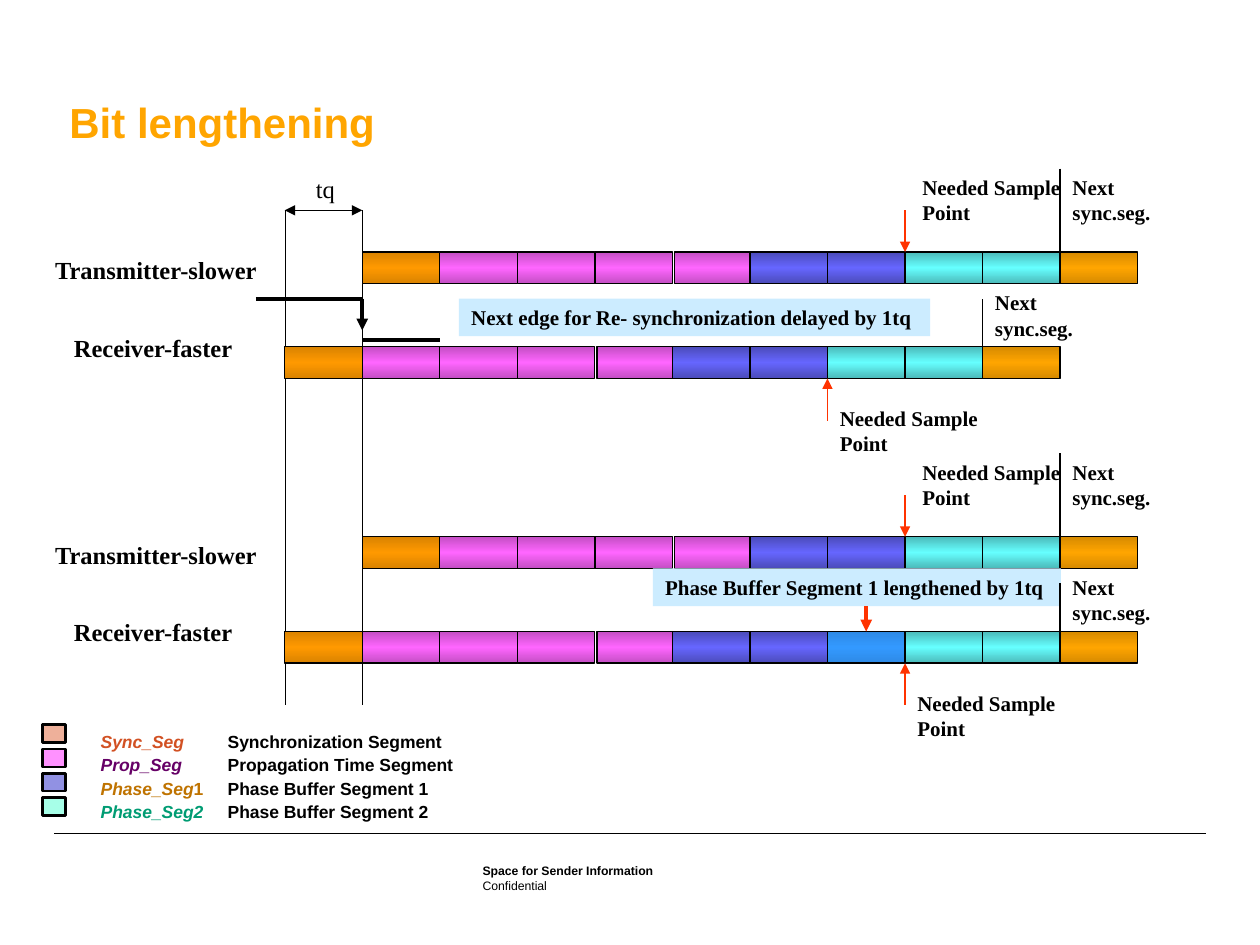
from copy import deepcopy
from dataclasses import dataclass
from typing import NamedTuple

from lxml.etree import SubElement
from pptx import Presentation
from pptx.dml.color import RGBColor
from pptx.enum.shapes import MSO_CONNECTOR as Connector, MSO_SHAPE as Shape
from pptx.enum.text import MSO_ANCHOR as Anchor, MSO_AUTO_SIZE as AutoSize, PP_ALIGN as Align
from pptx.oxml.ns import qn
from pptx.util import Cm, Pt


@dataclass(frozen=True)
class Theme:
    sans: str = "Arial"
    serif: str = "Times New Roman"
    ink: str = "000000"
    title: str = "FFA500"
    signal: str = "FF3300"
    callout: str = "CCECFF"
    title_size: float = 24
    label_size: float = 14
    note_size: float = 12
    legend_size: float = 10
    footer_size: float = 7
    guide: float = 0.25
    rule: float = 0.35
    thin: float = 0.75
    swatch: float = 1.5
    thick: float = 2.25


class Segment(NamedTuple):
    edge: str
    middle: str


class Run(NamedTuple):
    text: str
    size: float
    font: str = Theme.serif
    bold: bool = True
    italic: bool = False
    color: str = Theme.ink


class LegendEntry(NamedTuple):
    swatch: str
    name_color: str
    name: str
    suffix: str
    meaning: str


@dataclass(frozen=True)
class Diagram:
    """Two bit-time bars; lengths in cm, callout_offset counted from the top bar."""
    top: float
    receiver: list[Segment]
    guide_span: tuple[float, float]
    callout: str
    callout_left: float
    callout_offset: float
    callout_width: float


THEME = Theme()
SYNC = Segment("DA8300", "FF9900")
PROP = Segment("C44EC4", "FF66FF")
PHASE1 = Segment("4B4BBA", "6666FF")
ADDED = Segment("2E8AE6", "3399FF")
PHASE2 = Segment("4BBABA", "66FFFF")
NEXT_SYNC = Segment("D68A00", "FFA500")
BIT_START = [SYNC] + [PROP] * 4 + [PHASE1] * 2
BIT_END = [PHASE2] * 2 + [NEXT_SYNC]
NORMAL_BIT = BIT_START + BIT_END
LONG_BIT = BIT_START + [ADDED] + BIT_END

GRID_LEFT, GRID_RIGHT = 5.74, 21.37
QUANTUM = (GRID_RIGHT - GRID_LEFT) / len(NORMAL_BIT)
BAR_HEIGHT, RECEIVER_OFFSET = 0.64, 1.91
LAST_PROP, LAST_PROP_GAP = 4, 0.04

DIAGRAMS = [
    Diagram(5.08, NORMAL_BIT, (4.24, 9.53),
            "Next edge for Re- synchronization delayed by 1tq", 9.25, 0.94, 9.5),
    Diagram(10.82, LONG_BIT, (9.53, 14.22),
            "Phase Buffer Segment 1 lengthened by 1tq", 13.16, 0.64, 8.23),
]
LEGEND = [
    LegendEntry("EEB09A", "D25123", "Sync_Seg", "", "Synchronization Segment"),
    LegendEntry("FF91FF", "660066", "Prop_Seg", "", "Propagation Time Segment"),
    LegendEntry("9191E3", "BF7300", "Phase_Seg", "1", "Phase Buffer Segment 1"),
    LegendEntry("A7FFE8", "009C73", "Phase_Seg2", "", "Phase Buffer Segment 2"),
]


def rgb(value: str) -> RGBColor:
    return RGBColor.from_string(value)


def column(index: int) -> float:
    """Left edge in cm of a time quantum."""
    return GRID_LEFT + QUANTUM * index


def write(frame, paragraphs: list[list[Run]]) -> None:
    frame.word_wrap = False
    for number, runs in enumerate(paragraphs):
        paragraph = frame.add_paragraph() if number else frame.paragraphs[0]
        paragraph.alignment = Align.LEFT
        for item in runs:
            run = paragraph.add_run()
            run.text = item.text
            run.font.name, run.font.size = item.font, Pt(item.size)
            run.font.bold, run.font.italic = item.bold, item.italic
            run.font.color.rgb = rgb(item.color)


def add_text(slide, left: float, top: float, width: float, height: float, *paragraphs: list[Run]):
    frame = slide.shapes.add_textbox(Cm(left), Cm(top), Cm(width), Cm(height)).text_frame
    write(frame, list(paragraphs))
    frame.auto_size = AutoSize.SHAPE_TO_FIT_TEXT
    return frame


def add_note(slide, left: float, top: float, width: float, *lines: str) -> None:
    add_text(slide, left, top, width, 1.3, *([Run(line, THEME.note_size)] for line in lines))


def add_box(slide, left: float, top: float, width: float, height: float, line_width: float = 0):
    box = slide.shapes.add_shape(Shape.RECTANGLE, Cm(left), Cm(top), Cm(width), Cm(height))
    box.shadow.inherit = False
    if line_width:
        box.line.color.rgb = rgb(THEME.ink)
        box.line.width = Pt(line_width)
    else:
        box.line.fill.background()
    return box


def fill_solid(box, color: str) -> None:
    box.fill.solid()
    box.fill.fore_color.rgb = rgb(color)


def add_line(slide, x1: float, y1: float, x2: float, y2: float, width: float,
             color: str = THEME.ink, arrows: tuple[str, ...] = ()):
    """Arrows takes "headEnd" for the start and "tailEnd" for the end."""
    line = slide.shapes.add_connector(Connector.STRAIGHT, Cm(x1), Cm(y1), Cm(x2), Cm(y2))
    line.line.color.rgb = rgb(color)
    line.line.width = Pt(width)
    properties = line._element.spPr
    for end in arrows:
        SubElement(properties.find(qn("a:ln")), qn(f"a:{end}"), type="triangle")
    SubElement(properties, qn("a:effectLst"))
    return line


def add_bar(slide, first: int, top: float, segments: list[Segment]) -> list:
    cells = []
    for index, segment in enumerate(segments):
        gap = LAST_PROP_GAP if index == LAST_PROP else 0
        cell = add_box(slide, column(first + index) + gap, top, QUANTUM, BAR_HEIGHT, THEME.thin)
        cell.fill.gradient()
        cell.fill.gradient_angle = 90
        stop_list = cell._element.spPr.find(".//" + qn("a:gsLst"))
        stop_list.append(deepcopy(stop_list[0]))
        shades = (segment.edge, segment.middle, segment.edge)
        for stop, position, shade in zip(cell.fill.gradient_stops, (0, 0.5, 1), shades):
            stop.position = position
            stop.color.rgb = rgb(shade)
        cells.append(cell)
    return cells


def add_diagram(slide, diagram: Diagram) -> None:
    top, receiver_top = diagram.top, diagram.top + RECEIVER_OFFSET
    receiver_bottom = receiver_top + BAR_HEIGHT
    for index in (0, 1):
        add_line(slide, column(index), diagram.guide_span[0],
                 column(index), diagram.guide_span[1], THEME.guide)
    add_bar(slide, 1, top, NORMAL_BIT)
    cells = add_bar(slide, 0, receiver_top, diagram.receiver)
    add_text(slide, 0.86, top - 0.06, 4.62, 0.86, [Run("Transmitter-slower", THEME.label_size)])
    add_text(slide, 1.24, top + 1.5, 3.73, 0.86, [Run("Receiver-faster", THEME.label_size)])

    callout_top = top + diagram.callout_offset
    callout = add_box(slide, diagram.callout_left, callout_top, diagram.callout_width, 0.76)
    fill_solid(callout, THEME.callout)
    write(callout.text_frame, [[Run(diagram.callout, THEME.note_size)]])

    sample = column(1 + NORMAL_BIT.index(PHASE2))
    add_line(slide, sample, top - 0.84, sample, top, THEME.thin, THEME.signal, ("tailEnd",))
    add_note(slide, sample + 0.1, top - 1.68, 3.43, "Needed Sample", "Point")
    sample = column(diagram.receiver.index(PHASE2))
    add_line(slide, sample, receiver_bottom, sample, receiver_bottom + 0.85,
             THEME.thin, THEME.signal, ("headEnd",))
    add_note(slide, sample, receiver_bottom + 0.42, 3.43, "Needed Sample", "Point")

    next_bit = column(1 + NORMAL_BIT.index(NEXT_SYNC))
    add_line(slide, next_bit, top - 1.68, next_bit, top + BAR_HEIGHT, THEME.thin)
    add_note(slide, next_bit, top - 1.68, 2.11, "Next", "sync.seg.")
    next_bit = column(diagram.receiver.index(NEXT_SYNC))
    add_line(slide, next_bit, receiver_top, next_bit, receiver_top - 0.97, THEME.thin)
    add_note(slide, next_bit, top + 0.64, 2.74, "Next", "sync.seg.")

    if ADDED in diagram.receiver:
        added = diagram.receiver.index(ADDED)
        center = column(added) + QUANTUM / 2
        pointer = add_line(slide, center, callout_top + 0.76, center, receiver_top,
                           THEME.thick, THEME.signal, ("tailEnd",))
        pointer.end_connect(cells[added], 0)


def add_quantum_and_edge(slide, top: float) -> None:
    """Mark one time quantum and the falling edge that the receiver sees late."""
    start, end = column(0), column(1)
    add_line(slide, start, top - 0.84, end, top - 0.84, THEME.thin, arrows=("headEnd", "tailEnd"))
    add_text(slide, 6.12, top - 1.69, 0.89, 0.86, [Run("tq", THEME.label_size, bold=False)])
    add_line(slide, 5.16, top + 0.94, end, top + 0.94, THEME.thick)
    add_line(slide, end, top + 0.94, end, top + 1.58, THEME.thick, arrows=("tailEnd",))
    add_line(slide, end, top + 1.78, column(2), top + 1.78, THEME.thick)


def add_legend(slide) -> None:
    for row, entry in enumerate(LEGEND):
        swatch = add_box(slide, 0.86, 14.61 + 0.49 * row, 0.46, 0.36, THEME.swatch)
        fill_solid(swatch, entry.swatch)
        text_top = 14.61 + 0.47 * row
        name = [Run(entry.name, THEME.legend_size, THEME.sans, True, True, entry.name_color)]
        if entry.suffix:
            name.append(name[0]._replace(text=entry.suffix, italic=False))
        add_text(slide, 1.78, text_top, 2.59, 0.48, name)
        add_text(slide, 4.34, text_top, 5.6, 0.48,
                 [Run(entry.meaning, THEME.legend_size, THEME.sans)])


def add_footer(slide) -> None:
    add_line(slide, 1.09, 16.79, 24.31, 16.79, THEME.rule)
    for top, text, bold in ((17.32, "Space for Sender Information", True),
                            (17.62, "Confidential", False)):
        frame = add_text(slide, 9.73, top, 7.57, 0.38,
                         [Run(text, THEME.footer_size, THEME.sans, bold)])
        frame.auto_size = AutoSize.NONE
        frame.vertical_anchor = Anchor.BOTTOM
        frame.margin_left = frame.margin_right = frame.margin_top = frame.margin_bottom = 0


def main() -> None:
    deck = Presentation()
    deck.slide_width, deck.slide_height = Cm(25.4), Cm(19.05)
    slide = deck.slides.add_slide(deck.slide_layouts[6])
    add_footer(slide)
    add_legend(slide)
    for diagram in DIAGRAMS:
        add_diagram(slide, diagram)
    add_quantum_and_edge(slide, DIAGRAMS[0].top)
    add_text(slide, 1.15, 1.83, 6.73, 1.27,
             [Run("Bit lengthening", THEME.title_size, THEME.sans, color=THEME.title)])
    deck.save("out.pptx")


if __name__ == "__main__":
    main()
